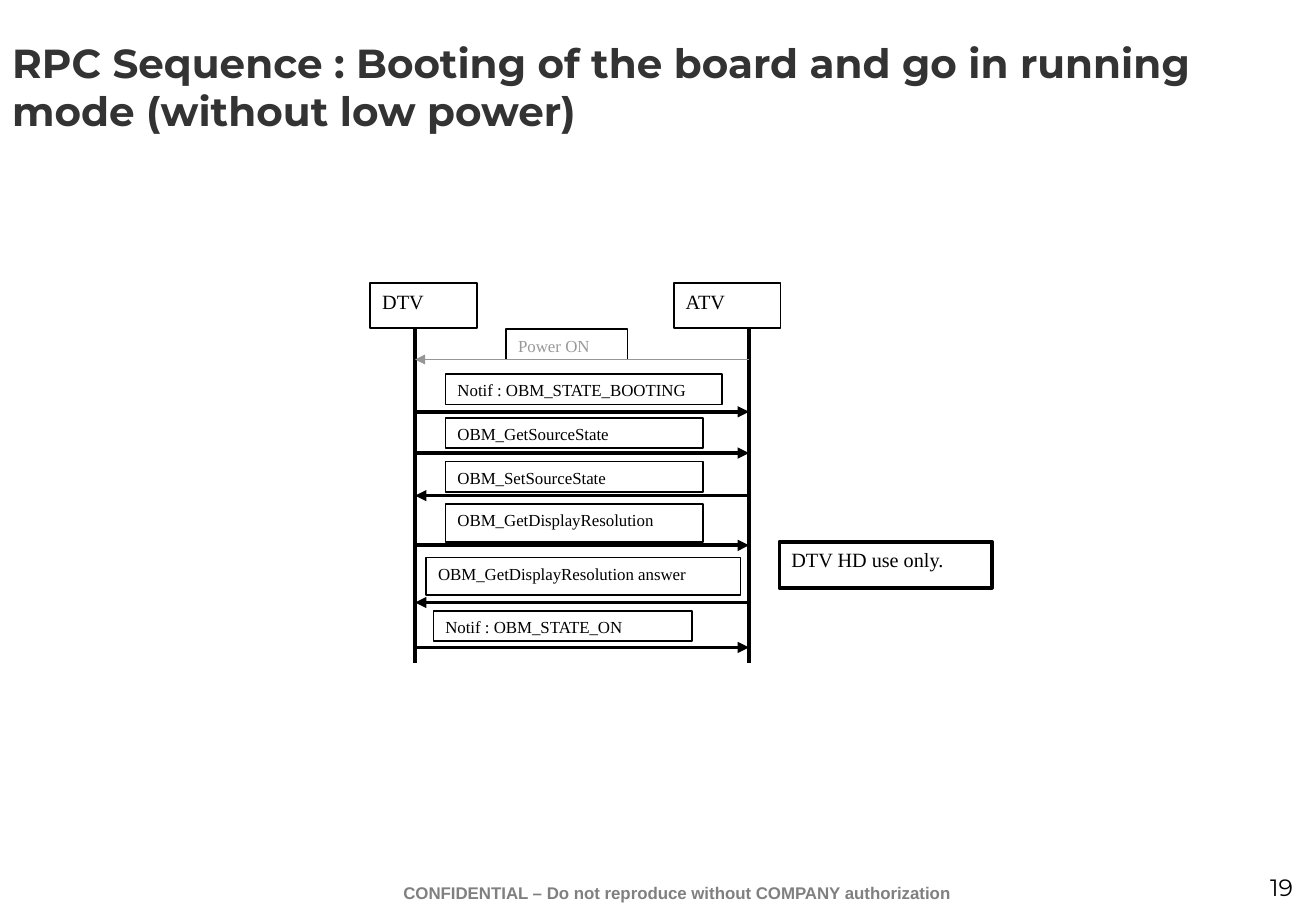
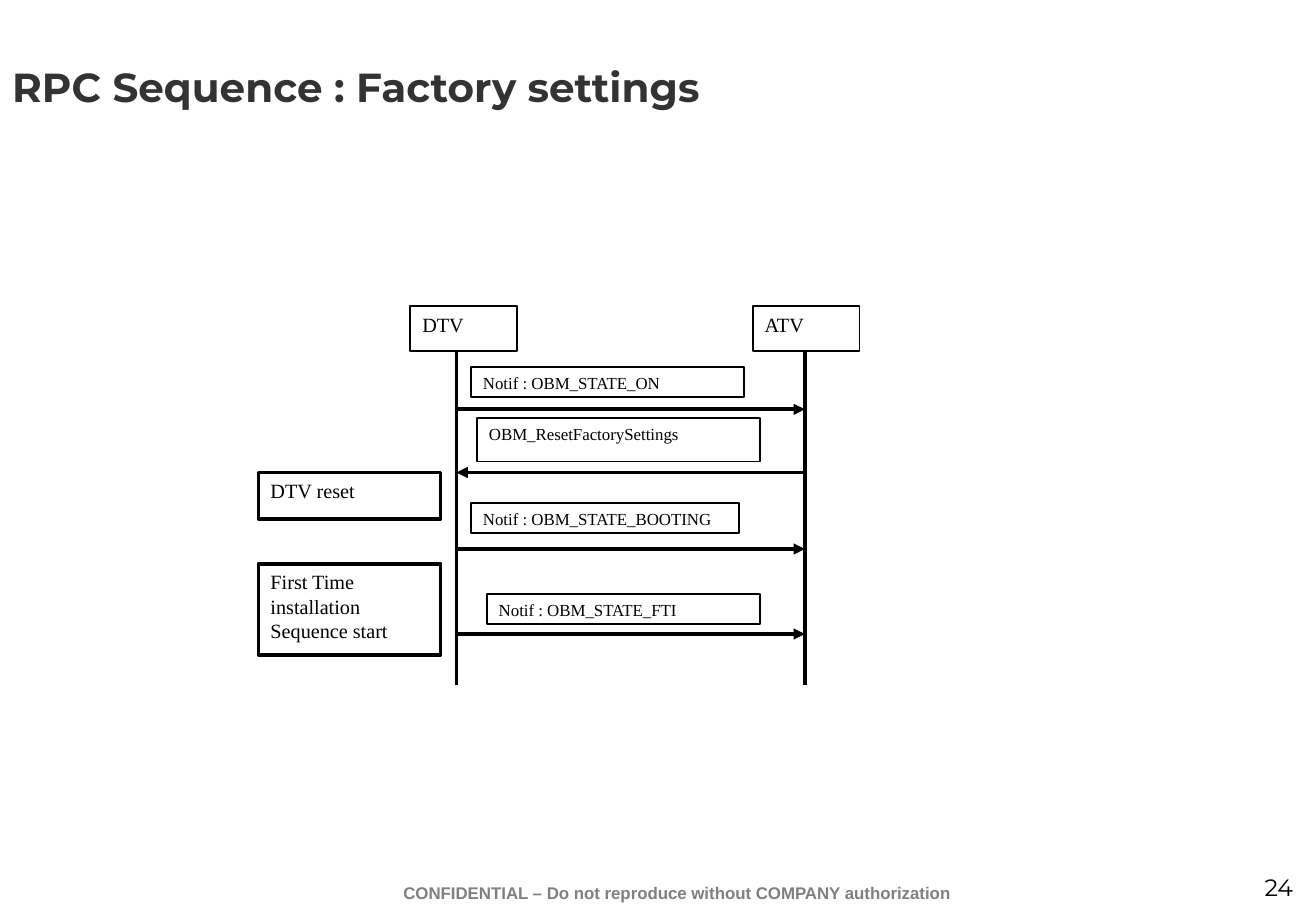
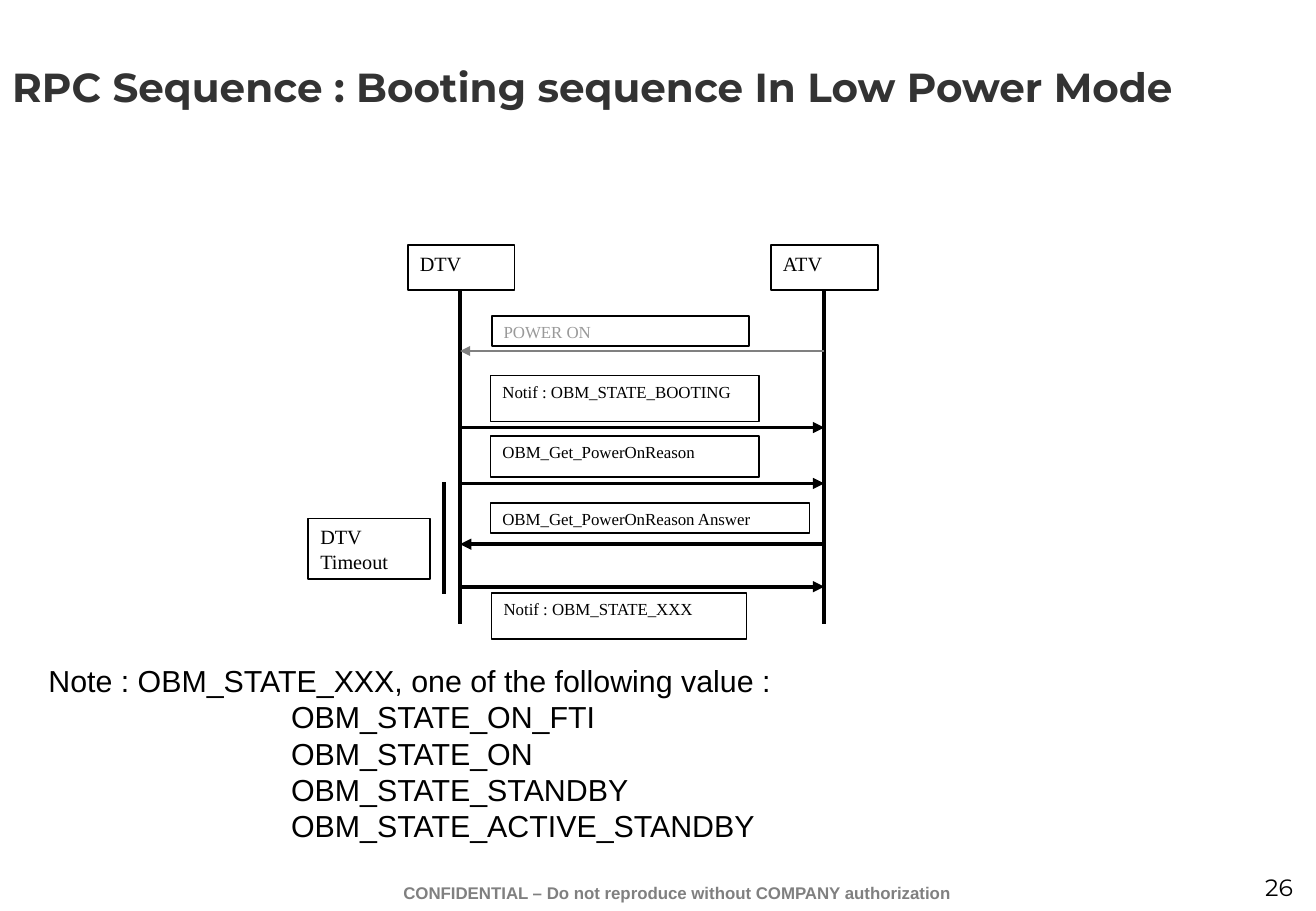
from dataclasses import dataclass

import lxml.etree
import pptx
import pptx.dml.color
import pptx.enum.shapes
import pptx.enum.text
import pptx.oxml.ns
import pptx.util

EMU_PER_PX = 9144
ALIGN = pptx.enum.text.PP_ALIGN
ANCHOR = pptx.enum.text.MSO_ANCHOR


@dataclass(frozen=True)
class Theme:
    ink: str = "000000"
    paper: str = "FFFFFF"
    heading: str = "333333"
    footer: str = "808080"
    muted: str = "999999"
    power_light: str = "969696"
    power_dark: str = "808080"
    display_font: str = "Montserrat"
    body_font: str = "Arial"
    diagram_font: str = "Times New Roman"
    title_size: int = 24
    note_size: int = 18
    number_size: int = 14
    actor_size: int = 12
    small_size: int = 10
    thin: float = 1
    thick: float = 2.25


THEME = Theme()


@dataclass(frozen=True)
class Box:
    left: int
    top: int
    width: int
    height: int

    def inside(self, x, y, width, height):
        return Box(self.left + x, self.top + y, width, height)

    def emu(self):
        return [px(n) for n in (self.left, self.top, self.width, self.height)]


@dataclass(frozen=True)
class Message:
    text: str
    label: tuple
    arrow_y: int
    to_atv: bool = True
    ink: str = THEME.ink
    stroke: str = THEME.ink
    weight: float = THEME.thick


@dataclass(frozen=True)
class Remark:
    text: str
    place: tuple
    weight: float = THEME.thick


@dataclass(frozen=True)
class Sequence:
    title: str
    number: int
    region: Box
    actors: tuple
    lifelines: tuple
    messages: tuple
    remarks: tuple
    timeout: tuple = ()
    explanation: str = ""


PAGE = Box(0, 0, 1084, 750)
TITLE = Box(0, 0, 1083, 142)
NUMBER = Box(959, 714, 116, 33)
FOOTER = Box(266, 722, 583, 28)
EXPLANATION = Box(30, 540, 1032, 160)
ACTOR_WIDTH, ACTOR_HEIGHT = 88, 37
STATE_INDENT = 200


def px(n):
    return pptx.util.Emu(n * EMU_PER_PX)


def rgb(value):
    return pptx.dml.color.RGBColor.from_string(value)


def write(frame, text, *, size, font, color=THEME.ink, bold=False,
          align=ALIGN.LEFT, anchor=ANCHOR.TOP, hang=0):
    frame.word_wrap = True
    frame.auto_size = pptx.enum.text.MSO_AUTO_SIZE.NONE
    frame.vertical_anchor = anchor
    frame.margin_left = frame.margin_right = px(10)
    frame.margin_top = frame.margin_bottom = px(5)
    for index, line in enumerate(text.split("\n")):
        paragraph = frame.add_paragraph() if index else frame.paragraphs[0]
        paragraph.alignment = align
        if index and hang:
            paragraph._p.get_or_add_pPr().set("marL", str(px(hang)))
        run = paragraph.add_run()
        run.text = line
        run.font.size = pptx.util.Pt(size)
        run.font.name = font
        run.font.bold = bold
        run.font.color.rgb = rgb(color)


def add_text(slide, box, text, **style):
    write(slide.shapes.add_textbox(*box.emu()).text_frame, text, **style)


def add_panel(slide, box, text, *, weight=THEME.thin, **style):
    panel = slide.shapes.add_shape(
        pptx.enum.shapes.MSO_SHAPE.RECTANGLE, *box.emu())
    panel.shadow.inherit = False
    panel.fill.solid()
    panel.fill.fore_color.rgb = rgb(THEME.paper)
    panel.line.color.rgb = rgb(THEME.ink)
    panel.line.width = pptx.util.Pt(weight)
    write(panel.text_frame, text, font=THEME.diagram_font, **style)


def add_line(slide, region, start, end, *, color=THEME.ink,
             weight=THEME.thick, arrow=False):
    ends = [px(offset + n) for point in (start, end)
            for offset, n in zip((region.left, region.top), point)]
    line = slide.shapes.add_connector(
        pptx.enum.shapes.MSO_CONNECTOR.STRAIGHT, *ends)
    line.line.color.rgb = rgb(color)
    line.line.width = pptx.util.Pt(weight)
    qn = pptx.oxml.ns.qn
    properties = line._element.spPr
    if arrow:
        lxml.etree.SubElement(
            properties.find(qn("a:ln")), qn("a:tailEnd"), type="triangle")
    lxml.etree.SubElement(properties, qn("a:effectLst"))


def add_frame(slide, title, number):
    heading = slide.shapes.title
    heading.left, heading.top, heading.width, heading.height = TITLE.emu()
    write(heading.text_frame, title, size=THEME.title_size,
          font=THEME.display_font, color=THEME.heading, bold=True,
          anchor=ANCHOR.MIDDLE)
    add_text(slide, NUMBER, str(number), size=THEME.number_size,
             font=THEME.display_font, align=ALIGN.RIGHT)
    add_text(slide, FOOTER,
             "CONFIDENTIAL – Do not reproduce without COMPANY authorization",
             size=THEME.small_size, font=THEME.body_font, color=THEME.footer,
             bold=True, align=ALIGN.CENTER)


def add_diagram(slide, region, sequence):
    for name, actor_x, life_x in zip(
            ("DTV", "ATV"), sequence.actors, sequence.lifelines):
        add_line(slide, region, (life_x, ACTOR_HEIGHT), (life_x, region.height))
        add_panel(slide, region.inside(actor_x, 0, ACTOR_WIDTH, ACTOR_HEIGHT),
                  name, size=THEME.actor_size)
    for message in sequence.messages:
        add_panel(slide, region.inside(*message.label), message.text,
                  size=THEME.small_size, color=message.ink)
        dtv, atv = ((x, message.arrow_y) for x in sequence.lifelines)
        sender, receiver = (dtv, atv) if message.to_atv else (atv, dtv)
        add_line(slide, region, sender, receiver, color=message.stroke,
                 weight=message.weight, arrow=True)
    for remark in sequence.remarks:
        add_panel(slide, region.inside(*remark.place), remark.text,
                  size=THEME.actor_size, weight=remark.weight)
    if sequence.timeout:
        x, begin, finish = sequence.timeout
        add_line(slide, region, (x, begin), (x, finish))


def add_sequence_slide(deck, sequence):
    slide = deck.slides.add_slide(deck.slide_layouts[5])
    add_frame(slide, sequence.title, sequence.number)
    add_diagram(slide, sequence.region, sequence)
    if sequence.explanation:
        add_text(slide, EXPLANATION, sequence.explanation,
                 size=THEME.note_size, font=THEME.body_font, hang=STATE_INDENT)


def power_message(text, label, arrow_y, stroke):
    return Message(text, label, arrow_y, to_atv=False, ink=THEME.muted,
                   stroke=stroke, weight=THEME.thin)


SEQUENCES = (
    Sequence(
        "RPC Sequence : Booting of the board and go in running mode "
        "(without low power)", 19,
        Box(305, 233, 512, 313), (0, 250), (37, 312),
        (
            power_message("Power ON", (112, 38, 100, 25), 63,
                          THEME.power_light),
            Message("Notif : OBM_STATE_BOOTING", (62, 75, 228, 25), 106),
            Message("OBM_GetSourceState", (62, 111, 212, 25), 140),
            Message("OBM_SetSourceState", (62, 147, 212, 25), 175, False),
            Message("OBM_GetDisplayResolution", (62, 182, 212, 31), 216),
            Message("OBM_GetDisplayResolution answer",
                    (46, 226, 259, 31), 263, False),
            Message("Notif : OBM_STATE_ON", (52, 270, 213, 25), 300),
        ),
        (Remark("DTV HD use only.", (337, 213, 175, 38)),),
    ),
    Sequence(
        "RPC Sequence : Factory settings", 24,
        Box(213, 252, 495, 312), (125, 407), (163, 450),
        (
            Message("Notif : OBM_STATE_ON", (175, 50, 225, 25), 85),
            Message("OBM_ResetFactorySettings",
                    (180, 92, 233, 36), 137, False),
            Message("Notif : OBM_STATE_BOOTING", (175, 162, 221, 25), 200),
            Message("Notif : OBM_STATE_FTI", (188, 237, 225, 25), 270),
        ),
        (
            Remark("DTV reset", (0, 137, 150, 38)),
            Remark("First Time installation\nSequence start",
                   (0, 212, 150, 75)),
        ),
    ),
    Sequence(
        "RPC Sequence : Booting sequence In Low Power Mode", 26,
        Box(254, 202, 469, 312), (82, 381), (125, 425),
        (
            power_message("POWER ON", (151, 58, 212, 25), 87,
                          THEME.power_dark),
            Message("Notif : OBM_STATE_BOOTING", (150, 107, 221, 38), 150),
            Message("OBM_Get_PowerOnReason", (150, 157, 221, 34), 196),
            Message("OBM_Get_PowerOnReason Answer",
                    (150, 212, 263, 25), 246, False),
            Message("Notif : OBM_STATE_XXX", (151, 286, 210, 38), 281),
        ),
        (Remark("DTV Timeout", (0, 225, 100, 50), THEME.thin),),
        timeout=(112, 195, 287),
        explanation="Note : OBM_STATE_XXX, one of the following value :\n"
                    "OBM_STATE_ON_FTI\nOBM_STATE_ON\nOBM_STATE_STANDBY\n"
                    "OBM_STATE_ACTIVE_STANDBY",
    ),
)


def main():
    deck = pptx.Presentation()
    deck.slide_width, deck.slide_height = px(PAGE.width), px(PAGE.height)
    for sequence in SEQUENCES:
        add_sequence_slide(deck, sequence)
    deck.save("out.pptx")


if __name__ == "__main__":
    main()
